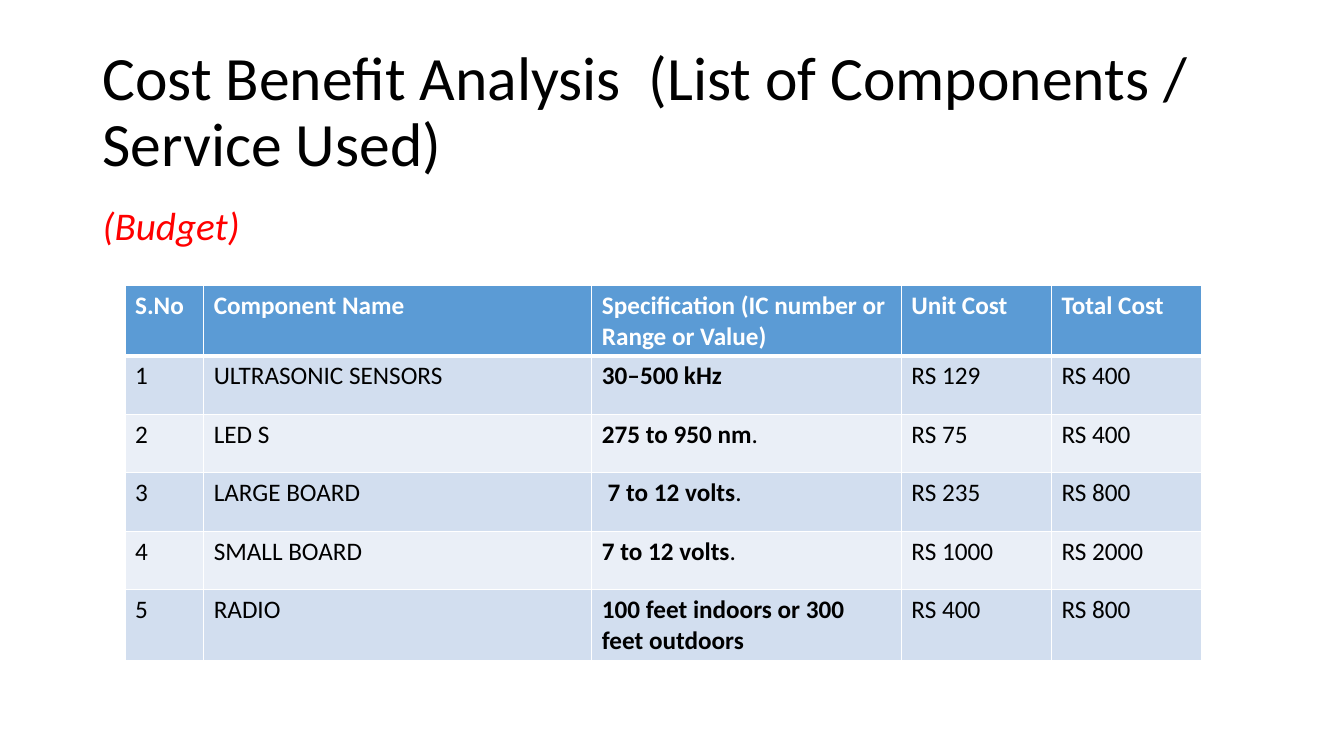
from lxml.etree import SubElement as Sub
from pptx import Presentation
from pptx.dml.color import RGBColor as RGB
from pptx.enum.text import MSO_ANCHOR as Anchor
from pptx.oxml.ns import qn
from pptx.util import Inches, Pt

HUES = {"ink": "000000", "red": "FF0000", "white": "FFFFFF",
        "head": "5B9BD5", "odd": "D2DEEF", "even": "EAEFF7"}


def add_run(para, text, hue, **form):
    run = para.add_run()
    run.text = text
    run.font.name = "Calibri"
    run.font.color.rgb = RGB.from_string(HUES[hue])
    for key, val in form.items():
        setattr(run.font, key, val)


def edge(cell, side, width):
    line = Sub(cell._tc.get_or_add_tcPr(), qn(f"a:ln{side}"), w=str(Pt(width)))
    fill = Sub(line, qn("a:solidFill"))
    Sub(fill, qn("a:srgbClr"), val=HUES["white"])


deck = Presentation()
deck.slide_width, deck.slide_height = Inches(13.33), Inches(7.5)
slide = deck.slides.add_slide(deck.slide_layouts[6])

# Title and subtitle
heads = [
    (0.4, 1.45, Anchor.MIDDLE, "Cost Benefit Analysis  (List of Components / Service Used)",
     "ink", {"size": Pt(44)}),
    (2, 4.76, Anchor.TOP, "(Budget)", "red", {"size": Pt(28), "italic": True}),
]
for top, high, anchor, text, hue, form in heads:
    box = slide.shapes.add_textbox(Inches(0.92), Inches(top), Inches(11.5), Inches(high))
    frame = box.text_frame
    frame.word_wrap = True
    frame.vertical_anchor = anchor
    para = frame.paragraphs[0]
    para.line_spacing = 0.9
    add_run(para, text, hue, **form)

# Budget rows; a specification is a list of (text, bold) runs
rows = [
    ("S.No", "Component Name", [("Specification (IC number or Range or Value)", True)],
     "Unit Cost", "Total Cost"),
    ("1", "ULTRASONIC SENSORS", [("30–500 kHz", True)], "RS 129", "RS 400"),
    ("2", "LED S", [("275 to 950 nm", True), (".", False)], "RS 75", "RS 400"),
    ("3", "LARGE BOARD", [(" ", False), ("7 to 12 volts", True), (".", False)],
     "RS 235", "RS 800"),
    ("4", "SMALL BOARD", [("7 to 12 volts", True), (".", False)], "RS 1000", "RS 2000"),
    ("5", "RADIO", [("100 feet indoors or 300 feet outdoors", True)], "RS 400", "RS 800"),
]
wides = [0.78, 3.85, 3.07, 1.49, 1.49]
highs = [0.7, 0.58, 0.58, 0.58, 0.58, 0.7]

# Table
grid = slide.shapes.add_table(len(rows), len(wides), Inches(1.24), Inches(2.83),
                              Inches(sum(wides)), Inches(sum(highs))).table
for col, wide in zip(grid.columns, wides):
    col.width = Inches(wide)
for r, (row, high) in enumerate(zip(rows, highs)):
    grid.rows[r].height = Inches(high)
    is_head = r == 0
    shade = "head" if is_head else "odd" if r % 2 else "even"
    for c, item in enumerate(row):
        cell = grid.cell(r, c)
        for side in "LRTB":
            thick = (is_head and side == "B") or (r == 1 and side == "T")
            edge(cell, side, 3 if thick else 1)
        cell.fill.solid()
        cell.fill.fore_color.rgb = RGB.from_string(HUES[shade])
        runs = item if isinstance(item, list) else [(item, is_head)]
        for text, bold in runs:
            add_run(cell.text_frame.paragraphs[0], text,
                    "white" if is_head else "ink", size=Pt(18), bold=bold)

deck.save("out.pptx")
